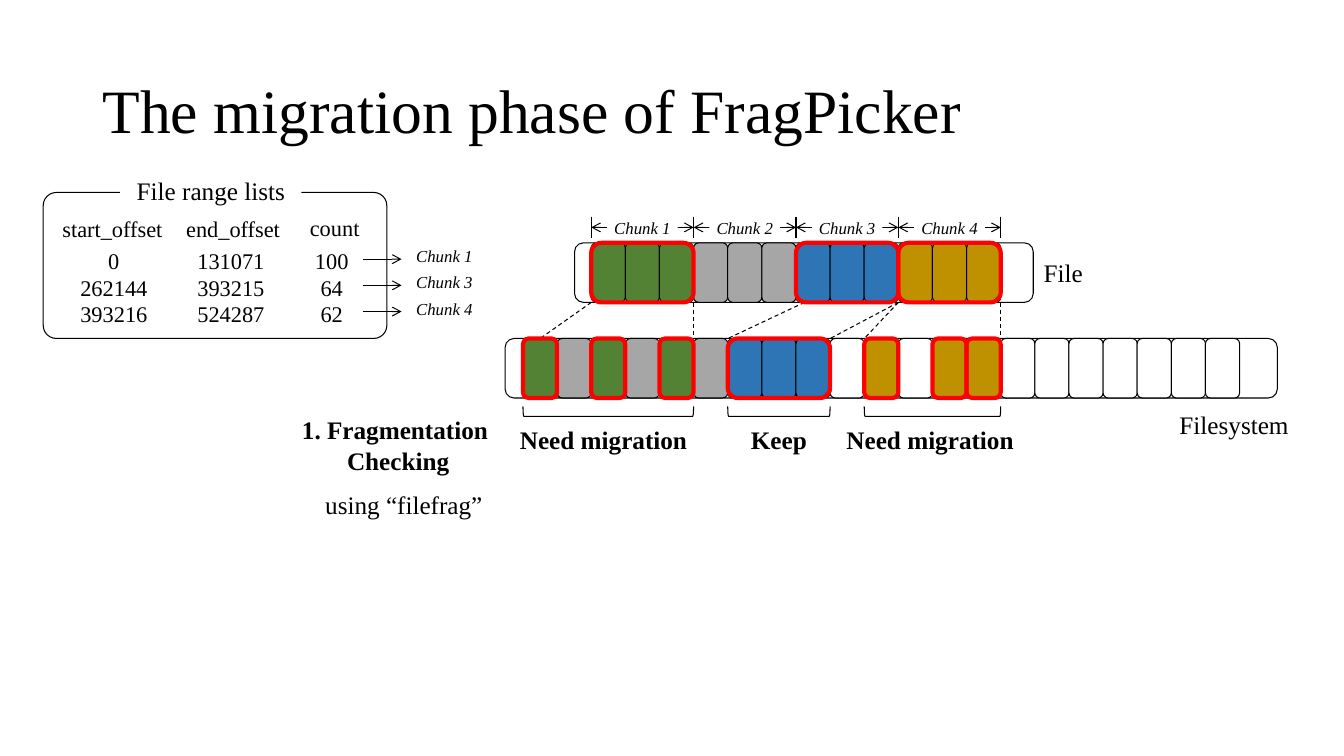
from lxml import etree
from pptx import Presentation
from pptx.dml.color import RGBColor
from pptx.enum.dml import MSO_LINE
from pptx.enum.shapes import MSO_CONNECTOR, MSO_SHAPE
from pptx.enum.text import MSO_ANCHOR, MSO_AUTO_SIZE, PP_ALIGN
from pptx.oxml.ns import qn
from pptx.util import Cm, Pt

BLACK = RGBColor(0, 0, 0)
WHITE = RGBColor(255, 255, 255)
GREEN = RGBColor(0x54, 0x82, 0x35)
GRAY = RGBColor(0xA6, 0xA6, 0xA6)
BLUE = RGBColor(0x2E, 0x75, 0xB6)
GOLD = RGBColor(0xBF, 0x90, 0x00)
RED = RGBColor(255, 0, 0)
BLOCK_COLORS = {"G": GREEN, "A": GRAY, "B": BLUE, "Y": GOLD, "W": WHITE}

ROUNDED, BRACKET = MSO_SHAPE.ROUNDED_RECTANGLE, MSO_SHAPE.LEFT_BRACKET
STRAIGHT, DASH = MSO_CONNECTOR.STRAIGHT, MSO_LINE.DASH
LEFT, CENTER = PP_ALIGN.LEFT, PP_ALIGN.CENTER
TOP, MIDDLE = MSO_ANCHOR.TOP, MSO_ANCHOR.MIDDLE
NO_AUTOFIT = MSO_AUTO_SIZE.NONE
FONT = "Times New Roman"

# Shared grid, in cm: one block of storage, three blocks to a chunk
BLOCK_W, BLOCK_H = 0.86, 1.5
CHUNK_BLOCKS = 3
CHUNK_W = CHUNK_BLOCKS * BLOCK_W
GRID_LEFT = 13.18
FILE_START = 2
FILE_TOP, FILESYSTEM_TOP = 6.12, 8.53


def block_x(index):
    return GRID_LEFT + index * BLOCK_W


def format_text(frame, text, size=18, bold=False, italic=False, align=CENTER,
                anchor=MIDDLE, spacing=None, tabs=()):
    frame.text = text
    frame.word_wrap = True
    frame.auto_size = NO_AUTOFIT
    frame.vertical_anchor = anchor
    for paragraph in frame.paragraphs:
        paragraph.alignment = align
        if spacing:
            paragraph.line_spacing = spacing
        if tabs:
            tab_list = etree.SubElement(paragraph._p.get_or_add_pPr(), qn("a:tabLst"))
            for position in tabs:
                etree.SubElement(tab_list, qn("a:tab"), pos=str(Cm(position)), algn="ctr")
        for run in paragraph.runs:
            run.font.name, run.font.size = FONT, Pt(size)
            run.font.bold, run.font.italic = bold, italic
            run.font.color.rgb = BLACK


def add_label(slide, text, left, top, width, height, fill=WHITE, **text_format):
    label = slide.shapes.add_textbox(Cm(left), Cm(top), Cm(width), Cm(height))
    if fill is not None:
        label.fill.solid()
        label.fill.fore_color.rgb = fill
    frame = label.text_frame
    frame.margin_left = frame.margin_right = frame.margin_top = frame.margin_bottom = 0
    format_text(frame, text, **text_format)


def add_outline(slide, left, top, width, height, fill=None, line=BLACK,
                weight=0.75, kind=ROUNDED, corner=0.15):
    outline = slide.shapes.add_shape(kind, Cm(left), Cm(top), Cm(width), Cm(height))
    outline.shadow.inherit = False
    outline.adjustments[0] = corner
    if fill is None:
        outline.fill.background()
    else:
        outline.fill.solid()
        outline.fill.fore_color.rgb = fill
    outline.line.color.rgb = line
    outline.line.width = Pt(weight)
    return outline


def add_line(slide, x1, y1, x2, y2, dash=None, arrows=()):
    line = slide.shapes.add_connector(STRAIGHT, Cm(x1), Cm(y1), Cm(x2), Cm(y2))
    line.line.color.rgb = BLACK
    line.line.width = Pt(0.75)
    if dash is not None:
        line.line.dash_style = dash
    for end in arrows:
        etree.SubElement(line.line._get_or_add_ln(), qn(f"a:{end}"), type="arrow")
    etree.SubElement(line._element.spPr, qn("a:effectLst"))


def add_title(slide, left, top, width, height):
    title = slide.shapes.title
    title.left, title.top, title.width, title.height = Cm(left), Cm(top), Cm(width), Cm(height)
    format_text(title.text_frame, "The migration phase of FragPicker",
                size=44, align=LEFT, spacing=0.9)


def add_block_row(slide, left, top, width, start, colors):
    """A storage bar with its coloured blocks."""
    add_outline(slide, left, top, width, BLOCK_H, fill=WHITE)
    for index, color in enumerate(colors, start):
        add_outline(slide, block_x(index), top, BLOCK_W, BLOCK_H, fill=BLOCK_COLORS[color])


def add_mapping(slide, top, bottom):
    """Dashed lines from the file to the filesystem, as block positions."""
    for source, target in ((2, 0.5), (5, 5), (8.25, 6), (11, 9), (11, 10), (14, 14)):
        add_line(slide, block_x(source), top, block_x(target), bottom, dash=DASH)


def add_chunk_ruler(slide, left, top, height, count=4):
    for edge in range(count + 1):
        x = left + edge * CHUNK_W
        add_line(slide, x, top, x, top + height)
    for chunk in range(count):
        x, y = left + chunk * CHUNK_W, top + height / 2
        add_line(slide, x, y, x + CHUNK_W, y, arrows=("headEnd", "tailEnd"))
        add_label(slide, f"Chunk {chunk + 1}", x + 0.4, top, CHUNK_W - 0.8, height,
                  size=12, italic=True)


def add_range_lists(slide, left, top, width, height):
    add_outline(slide, left, top, width, height, fill=WHITE, corner=0.09)
    add_label(slide, "File range lists", left + 1.94, top - 0.43, 4.57, 0.81, anchor=TOP)
    # Column heads and rows
    for head, x, y, head_width in (("start_offset", 0.46, 0.59, 2.57),
                                   ("end_offset", 3.58, 0.59, 2.41),
                                   ("count", 6.2, 0.56, 2.29)):
        add_label(slide, head, left + x, top + y, head_width, 0.66, fill=None, size=16)
    ranges = ((0, 131071, 100), (262144, 393215, 64), (393216, 524287, 62))
    rows = "\n".join("".join(f"\t{value}" for value in entry) for entry in ranges)
    add_label(slide, rows, left + 0.51, top + 1.37, 8.86, 1.98, fill=None,
              size=16, align=LEFT, anchor=TOP, tabs=(1.27, 4.22, 6.76))
    # Arrow from each row to its chunk
    for row, chunk in enumerate((1, 3, 4)):
        y = top + 1.68 + row * 0.66
        add_line(slide, left + 8.05, y, left + 9.03, y, arrows=("tailEnd",))
        add_label(slide, f"Chunk {chunk}", left + 9.07, y - 0.33, 2.08, 0.64,
                  size=12, italic=True, anchor=TOP)


def add_verdicts(slide, top):
    """Brackets under the filesystem, each with its verdict."""
    depth = 0.25
    for first, end, verdict in ((0, 5, "Need migration"), (6, 9, "Keep"),
                                (10, 14, "Need migration")):
        span = (end - first) * BLOCK_W
        center = block_x((first + end) / 2)
        # Upright bracket, turned about its centre to open upwards
        bracket = add_outline(slide, center - depth / 2, top + depth / 2 - span / 2,
                              depth, span, kind=BRACKET, corner=0.08)
        bracket.rotation = 270
        label_shift = 0 if verdict == "Keep" else -0.12 if first == 0 else -0.06
        add_label(slide, verdict, center + label_shift - 2.3, top + 0.43, 4.6, 0.79,
                  fill=None, bold=True)


def add_step(slide, left, top):
    add_label(slide, "1. Fragmentation \vChecking", left, top, 5.49, 1.19, bold=True)
    add_label(slide, "using “filefrag”", left - 2.51, top + 1.5, 10.8, 1.19)


def add_highlights(slide):
    """Red frames around chunks and where their blocks lie."""
    frames = [(FILE_TOP, first, CHUNK_BLOCKS) for first in (2, 8, 11)]
    frames += [(FILESYSTEM_TOP, first, 1) for first in (0, 2, 4, 10, 12, 13)]
    frames.append((FILESYSTEM_TOP, 6, CHUNK_BLOCKS))
    for top, first, count in frames:
        add_outline(slide, block_x(first), top, count * BLOCK_W, BLOCK_H,
                    line=RED, weight=3, corner=0.17)


def main():
    deck = Presentation()
    deck.slide_width, deck.slide_height = Cm(33.87), Cm(19.05)
    slide = deck.slides.add_slide(deck.slide_layouts[5])
    add_title(slide, 2.33, 1.01, 29.21, 3.68)
    # File and filesystem bars
    add_block_row(slide, 12.73, FILESYSTEM_TOP, 19.46, 0, "GAGAGABBBWYWYYWWWWWWW")
    add_block_row(slide, 14.48, FILE_TOP, 11.56, FILE_START, "GGGAAABBBYYY")
    add_label(slide, "Filesystem", 29.46, 10.29, 3.28, 0.79)
    add_label(slide, "File", 26.11, 6.48, 1.37, 0.79)
    add_mapping(slide, FILE_TOP + BLOCK_H, FILESYSTEM_TOP)
    add_chunk_ruler(slide, block_x(FILE_START), 5.46, 0.54)
    # Ranges, step and verdicts
    add_range_lists(slide, 1.09, 4.85, 8.66, 3.68)
    add_step(slide, 7.29, 10.62)
    add_verdicts(slide, 10.24)
    add_highlights(slide)
    deck.save("out.pptx")


if __name__ == "__main__":
    main()
